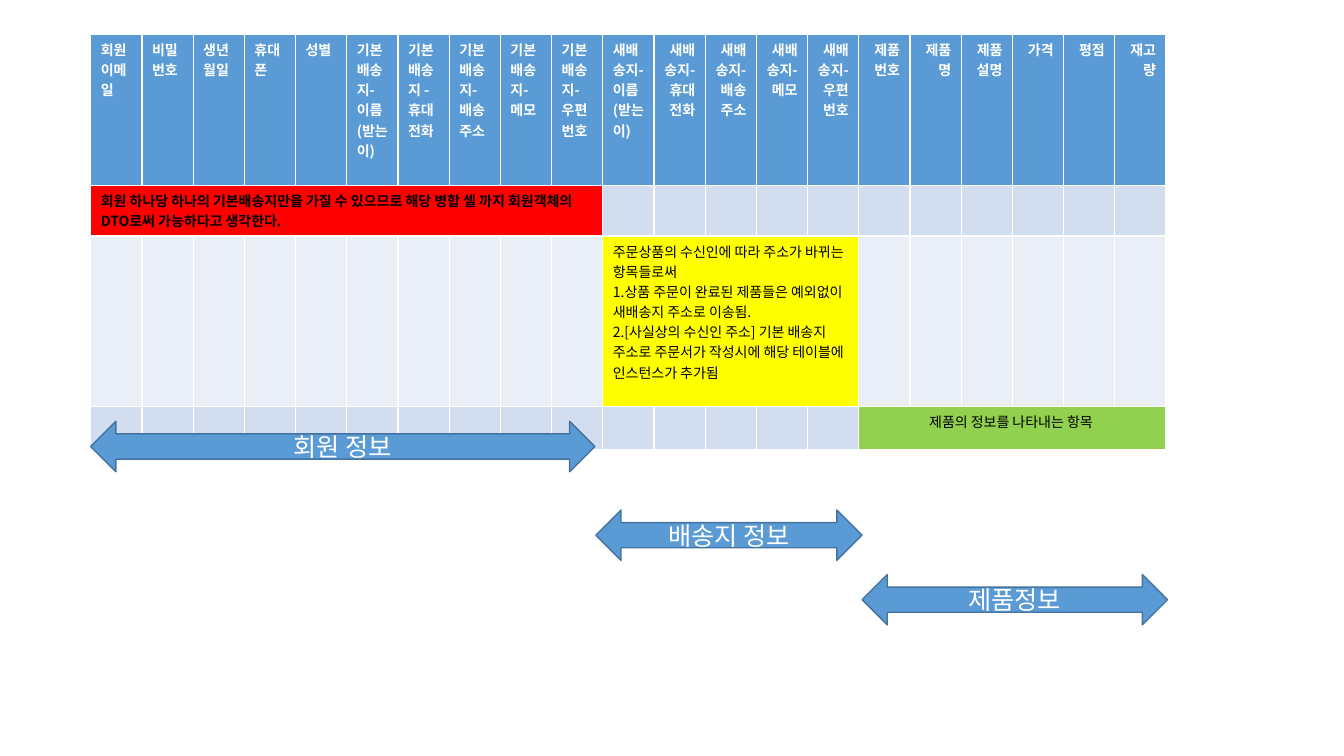
from pptx import Presentation
from pptx import util as u
from pptx.dml.color import RGBColor
from pptx.enum import shapes, text

BLUE = RGBColor(0x5B, 0x9B, 0xD5)
OUTLINE = RGBColor(0x43, 0x73, 0x9E)
WHITE = RGBColor(0xFF, 0xFF, 0xFF)
BLACK = RGBColor(0x00, 0x00, 0x00)
RED = RGBColor(0xFF, 0x00, 0x00)
YELLOW = RGBColor(0xFF, 0xFF, 0x00)
GREEN = RGBColor(0x92, 0xD0, 0x50)
BAND_DARK = RGBColor(0xD2, 0xDE, 0xEF)
BAND_LIGHT = RGBColor(0xEA, 0xEF, 0xF7)
LEFT, CENTER, RIGHT = text.PP_ALIGN.LEFT, text.PP_ALIGN.CENTER, text.PP_ALIGN.RIGHT

HEADERS = [
    "회원이메일", "비밀번호", "생년월일", "휴대폰", "성별",
    "기본배송지-이름(받는이)", "기본배송지 -휴대전화", "기본배송지-배송주소",
    "기본배송지-메모", "기본배송지-우편번호",
    "새배송지-이름(받는이)", "새배송지-휴대전화", "새배송지-배송주소",
    "새배송지-메모", "새배송지-우편번호",
    "제품번호", "제품명", "제품설명", "가격", "평점", "재고량",
]
FIRST_RIGHT_ALIGNED = 11
ROW_HEIGHTS = [1.5, 0.5, 1.69, 0.43]
BANDS = [BLUE, BAND_DARK, BAND_LIGHT, BAND_DARK]
MERGED_NOTES = [
    (1, 0, 9, RED, True, LEFT,
     "회원 하나당 하나의 기본배송지만을 가질 수 있으므로 해당 병합 셀 까지 회원객체의 "
     "DTO로써 가능하다고 생각한다."),
    (2, 10, 14, YELLOW, False, LEFT,
     "주문상품의 수신인에 따라 주소가 바뀌는 항목들로써 \v"
     "1.상품 주문이 완료된 제품들은 예외없이 새배송지 주소로 이송됨.\v"
     "2.[사실상의 수신인 주소] 기본 배송지 주소로 주문서가 작성시에 "
     "해당 테이블에 인스턴스가 추가됨"),
    (3, 15, 20, GREEN, False, CENTER, "제품의 정보를 나타내는 항목 "),
]
ARROWS = [
    ("회원 정보", 0.9, 4.18, 5),
    ("배송지 정보", 5.91, 5.06, 2.64),
    ("제품정보", 8.55, 5.7, 3.03),
]


class Deck:
    """Holds the text style and the slide being built."""

    font = "Noto Sans CJK KR"

    def __init__(self, prs):
        self.s = prs.slides.add_slide(prs.slide_layouts[6])

    def label(self, tf, words, size, color, bold=False, align=LEFT):
        tf.text = words
        p = tf.paragraphs[0]
        p.alignment = align
        p.font.name = self.font
        p.font.size = u.Pt(size)
        p.font.bold = bold
        p.font.color.rgb = color

    def cell(self, cell, words, fill, color=BLACK, bold=False, align=LEFT):
        cell.fill.solid()
        cell.fill.fore_color.rgb = fill
        self.label(cell.text_frame, words, 10, color, bold, align)

    def table(self, left, top, width):
        tbl = self.s.shapes.add_table(
            len(ROW_HEIGHTS), len(HEADERS), u.Inches(left), u.Inches(top),
            u.Inches(width), u.Inches(sum(ROW_HEIGHTS))).table
        for row, height, band in zip(tbl.rows, ROW_HEIGHTS, BANDS):
            row.height = u.Inches(height)
            for cell in row.cells:
                self.cell(cell, "", band)
        for col, header in enumerate(HEADERS):
            align = RIGHT if col >= FIRST_RIGHT_ALIGNED else LEFT
            self.cell(tbl.cell(0, col), header, BLUE, WHITE, True, align)
        for row, first, last, fill, bold, align, words in MERGED_NOTES:
            cell = tbl.cell(row, first)
            cell.merge(tbl.cell(row, last))
            self.cell(cell, words, fill, BLACK, bold, align)

    def arrow(self, words, left, top, width, height=0.5):
        sp = self.s.shapes.add_shape(
            shapes.MSO_SHAPE.LEFT_RIGHT_ARROW, u.Inches(left), u.Inches(top),
            u.Inches(width), u.Inches(height))
        sp.shadow.inherit = False
        sp.fill.solid()
        sp.fill.fore_color.rgb = BLUE
        sp.line.color.rgb = OUTLINE
        sp.line.width = u.Pt(1)
        sp.text_frame.vertical_anchor = text.MSO_ANCHOR.MIDDLE
        self.label(sp.text_frame, words, 18, WHITE, align=CENTER)


def main():
    prs = Presentation()
    prs.slide_width, prs.slide_height = u.Inches(13.33), u.Inches(7.5)
    deck = Deck(prs)
    deck.table(0.9, 0.34, 10.67)
    for arrow in ARROWS:
        deck.arrow(*arrow)
    prs.save("out.pptx")


if __name__ == "__main__":
    main()
